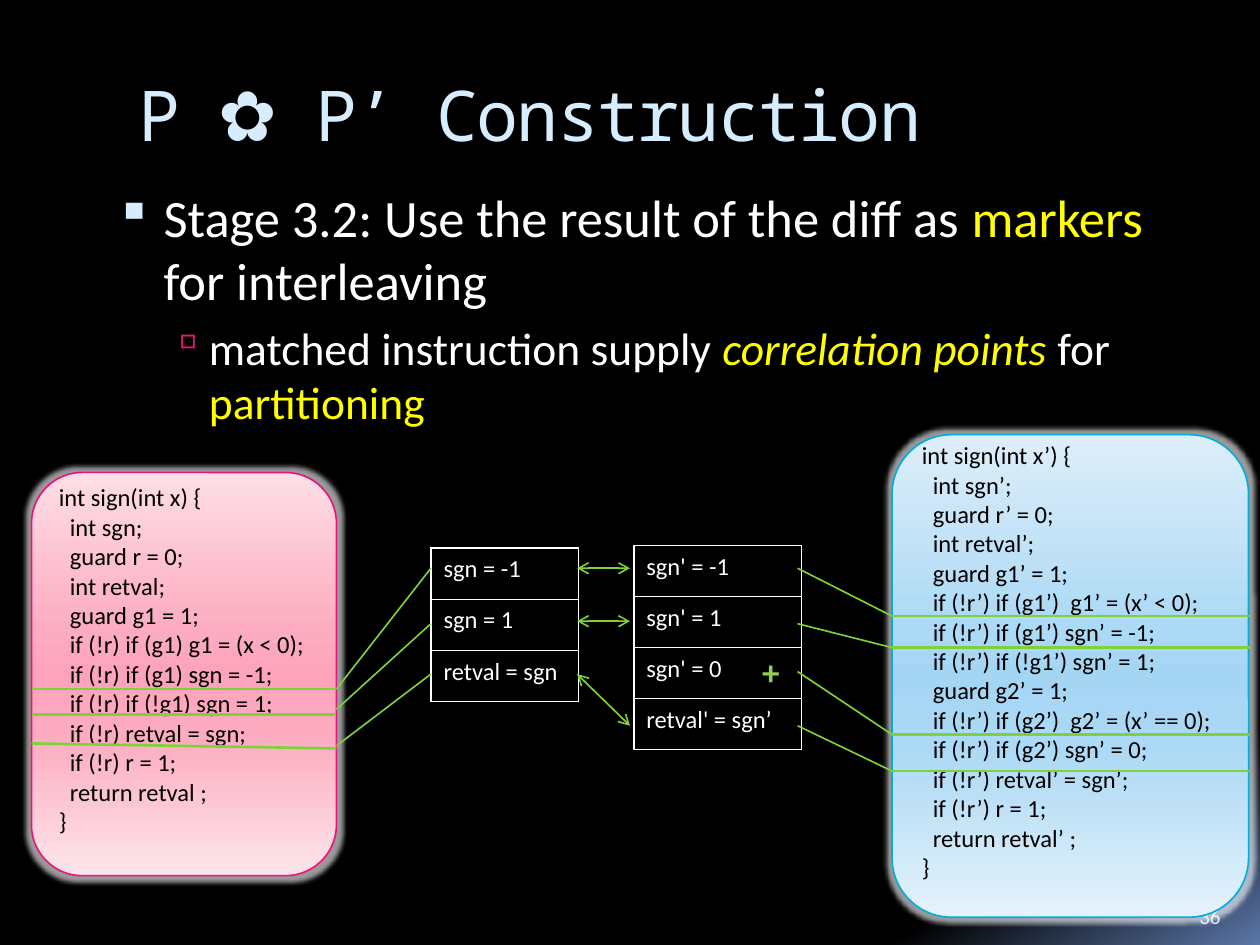
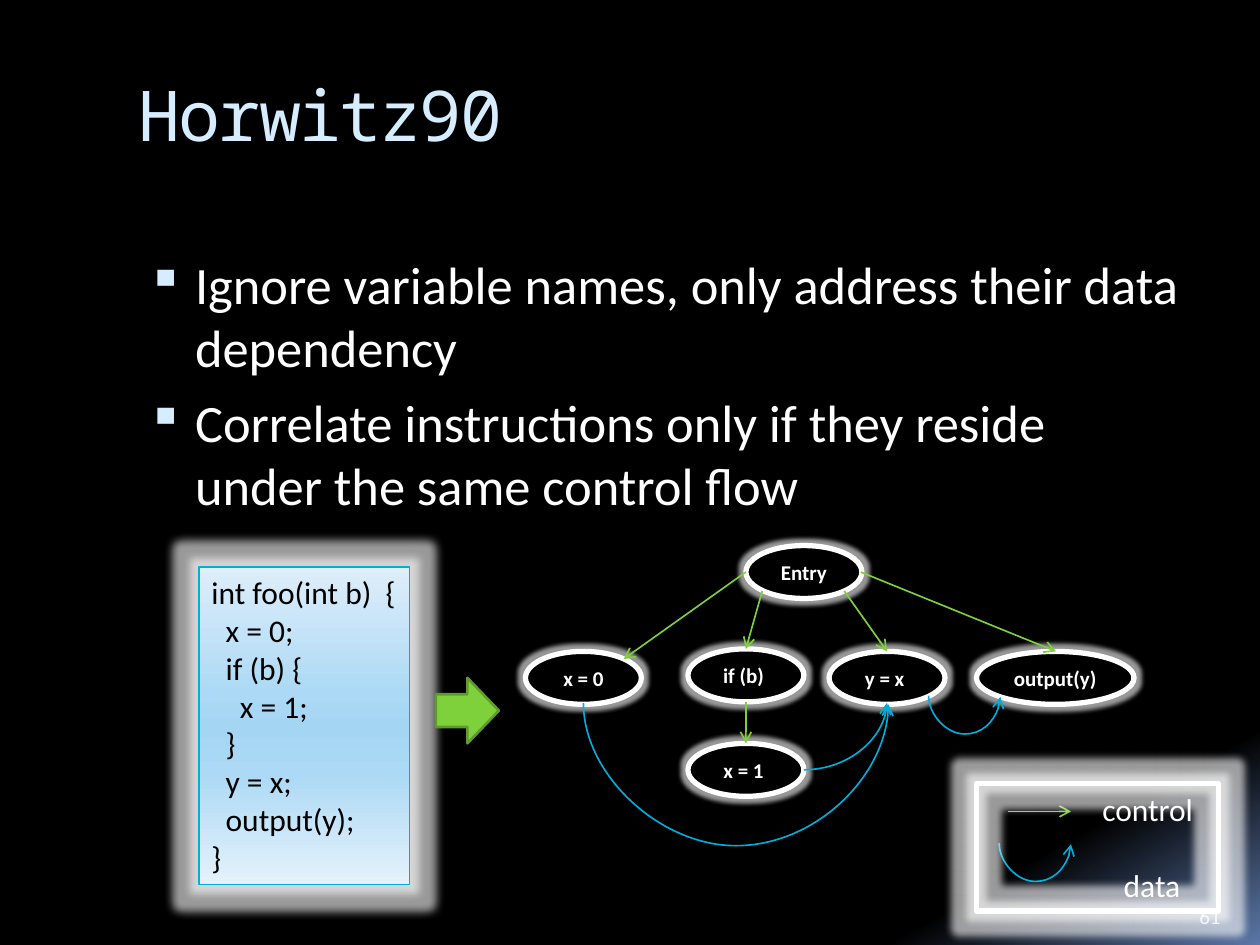
"""Build two slides on program correlation: marker interleaving and dependency graphs."""
from dataclasses import dataclass
from typing import Any, NamedTuple

from lxml import etree
from pptx import Presentation
from pptx.dml.color import RGBColor
from pptx.enum.shapes import MSO_CONNECTOR, MSO_SHAPE
from pptx.enum.text import MSO_ANCHOR, PP_ALIGN
from pptx.oxml.ns import qn
from pptx.util import Inches, Pt

STRAIGHT, CURVE = MSO_CONNECTOR.STRAIGHT, MSO_CONNECTOR.CURVE
RECTANGLE, ROUNDED = MSO_SHAPE.RECTANGLE, MSO_SHAPE.ROUNDED_RECTANGLE
ELLIPSE, RIGHT_ARROW = MSO_SHAPE.OVAL, MSO_SHAPE.RIGHT_ARROW
TOP, MIDDLE, BOTTOM = MSO_ANCHOR.TOP, MSO_ANCHOR.MIDDLE, MSO_ANCHOR.BOTTOM
LEFT, CENTER = PP_ALIGN.LEFT, PP_ALIGN.CENTER

BLACK = RGBColor(0x00, 0x00, 0x00)
WHITE = RGBColor(0xFF, 0xFF, 0xFF)
ICE = RGBColor(0xD6, 0xEC, 0xFF)
YELLOW = RGBColor(0xFF, 0xFF, 0x00)
PINK = RGBColor(0xEA, 0x15, 0x7A)
BLUE = RGBColor(0x00, 0xAD, 0xDC)
GREEN = RGBColor(0x7F, 0xD1, 0x3B)
DARK_GREEN = RGBColor(0x5E, 0x9B, 0x2C)
PLUS_GREEN = RGBColor(0x92, 0xD0, 0x50)
NIGHT = ((65, "000000"), (87, "000000"), (100, "5B77A8"))
PINK_TINT = ((0, "FDDEE5"), (40, "FDABC0"), (50, "FDA3BB"), (65, "FDABC0"), (100, "FDE5EB"))
BLUE_TINT = ((0, "DEEEFA"), (40, "ACD9F5"), (50, "A4D6F4"), (65, "ACD9F5"), (100, "E5F2FB"))

SANS, MONO = "Calibri", "Noto Sans Mono"
SPACE_WIDTH = 0.226
THIN, MEDIUM, THICK = 0.94, 1.5, 3

OLD_CODE = """int sign(int x) {
  int sgn;
  guard r = 0;
  int retval;
  guard g1 = 1;
  if (!r) if (g1) g1 = (x < 0);
  if (!r) if (g1) sgn = -1;
  if (!r) if (!g1) sgn = 1;
  if (!r) retval = sgn;
  if (!r) r = 1;
  return retval ;
}"""
NEW_CODE = """int sign(int x’) {
  int sgn’;
  guard r’ = 0;
  int retval’;
  guard g1’ = 1;
  if (!r’) if (g1’)  g1’ = (x’ < 0);
  if (!r’) if (g1’) sgn’ = -1;
  if (!r’) if (!g1’) sgn’ = 1;
  guard g2’ = 1;
  if (!r’) if (g2’)  g2’ = (x’ == 0);
  if (!r’) if (g2’) sgn’ = 0;
  if (!r’) retval’ = sgn’;
  if (!r’) r = 1;
  return retval’ ;
}"""
FOO_CODE = """int foo(int b)  {
  x = 0;
  if (b) {
    x = 1;
  }
  y = x;
  output(y);
}"""


class Area(NamedTuple):
    """Left, top, width and height in inches."""
    left: float
    top: float
    width: float
    height: float


class Span(NamedTuple):
    """A stretch of text in one format."""
    text: str
    color: RGBColor = WHITE
    italic: bool = False


class Level(NamedTuple):
    """The format of one bullet level."""
    size: int
    margin: float
    hanging: float
    before: int
    mark: str
    mark_color: RGBColor
    mark_size: int


class Loop(NamedTuple):
    """A data arc that hangs below two points at one height."""
    start: float
    end: float
    top: float
    depth: float


@dataclass
class CodeBox:
    """A tinted, glowing box of code."""
    area: Area
    code: str
    outline: RGBColor
    tint: tuple
    preset: Any
    size: int
    anchor: Any
    glow: float
    bottom: float = 0.05


LEVELS = (Level(30, 0.45, -0.38, 7, "▪", ICE, 95), Level(26, 0.81, -0.31, 5, "▫", PINK, 90))


def add_node(parent: Any, tag: str, **values: Any) -> Any:
    """Append a drawing element with the given attributes."""
    node = etree.SubElement(parent, qn(tag))
    for name, value in values.items():
        node.set(name, str(value))
    return node


def set_gradient(fill: Any, element: Any, stops: tuple, angle: int) -> None:
    """Fill with a clockwise linear gradient."""
    fill.gradient()
    fill.gradient_angle = 360 - angle
    stop_list = element.find(".//" + qn("a:gsLst"))
    for stop in list(stop_list):
        stop_list.remove(stop)
    for position, color in stops:
        add_node(add_node(stop_list, "a:gs", pos=position * 1000), "a:srgbClr", val=color)


def add_span(para: Any, text: str, color: RGBColor, **formats: Any) -> Any:
    """Add a run with font formats."""
    span = para.add_run()
    span.text = text
    span.font.color.rgb = color
    for name, value in {"name": SANS, **formats}.items():
        setattr(span.font, name, value)
    return span


def next_para(frame: Any, index: int) -> Any:
    """Return the first paragraph or a new one."""
    return frame.add_paragraph() if index else frame.paragraphs[0]


def set_indent(para: Any, margin: float, hanging: float = 0) -> Any:
    """Set the left margin and first-line indent of a paragraph."""
    properties = para._p.get_or_add_pPr()
    properties.set("marL", str(Inches(margin)))
    properties.set("indent", str(Inches(hanging)))
    return properties


def add_text(page: Any, area: Area, anchor: Any = TOP) -> Any:
    """Add a wrapping text box and return its frame."""
    frame = page.shapes.add_textbox(*map(Inches, area)).text_frame
    frame.word_wrap = True
    frame.vertical_anchor = anchor
    return frame


def add_box(page: Any, preset: Any, area: Area, outline: RGBColor, weight: float,
            fill: RGBColor | None = None, glow: float = 0) -> Any:
    """Add a preset shape with an outline and optional fill and glow."""
    box = page.shapes.add_shape(preset, *map(Inches, area))
    box.shadow.inherit = False
    box.line.color.rgb = outline
    box.line.width = Pt(weight)
    if fill is None:
        box.fill.background()
    else:
        box.fill.solid()
        box.fill.fore_color.rgb = fill
    if glow:
        effects = box._element.spPr.find(qn("a:effectLst"))
        color = add_node(add_node(effects, "a:glow", rad=Inches(glow)), "a:srgbClr", val="FFFFFF")
        add_node(color, "a:alpha", val=60000)
    return box


def add_code(page: Any, item: CodeBox) -> None:
    """Draw a code box, one paragraph a line, indented as written."""
    box = add_box(page, item.preset, item.area, item.outline, THIN, glow=item.glow)
    set_gradient(box.fill, box._element, item.tint, 90)
    frame = box.text_frame
    frame.word_wrap = True
    frame.vertical_anchor = item.anchor
    frame.margin_bottom = Inches(item.bottom)
    for index, line in enumerate(item.code.splitlines()):
        para = next_para(frame, index)
        para.alignment = LEFT
        text = line.lstrip()
        set_indent(para, (len(line) - len(text)) * item.size * SPACE_WIDTH / 72)
        add_span(para, text, BLACK, size=Pt(item.size))


def add_line(page: Any, start: tuple, end: tuple, color: RGBColor = GREEN, weight: float = THIN,
             heads: tuple = (), kind: Any = STRAIGHT) -> Any:
    """Add a connector with open arrowheads on the named ends."""
    line = page.shapes.add_connector(kind, *map(Inches, (*start, *end)))
    line.line.color.rgb = color
    line.line.width = Pt(weight)
    for head in heads:
        add_node(line.line._get_or_add_ln(), "a:" + head, type="arrow")
    add_node(line._element.spPr, "a:effectLst")
    return line


def add_loop(page: Any, loop: Loop) -> None:
    """Draw a hanging data arc as a turned curved connector."""
    rise = 0.01
    middle, center = (loop.start + loop.end) / 2, loop.top + rise / 2
    half = (loop.end - loop.start) / 2
    line = add_line(page, (middle - rise / 2, center - half), (middle + rise / 2, center + half),
                    BLUE, heads=("tailEnd",), kind=CURVE)
    properties = line._element.spPr
    frame = properties.find(qn("a:xfrm"))
    frame.set("rot", str(270 * 60000))
    frame.set("flipH", "1")
    guides = properties.find(qn("a:prstGeom")).get_or_add_avLst()
    add_node(guides, "a:gd", name="adj1", fmla=f"val {round(loop.depth / rise * 100000)}")


def add_values(page: Any, area: Area, values: tuple) -> None:
    """Add a one-column table with white borders and no fill."""
    table = page.shapes.add_table(len(values), 1, *map(Inches, area)).table
    table.first_row = table.horz_banding = False
    for index, value in enumerate(values):
        cell = table.cell(index, 0)
        cell.fill.background()
        add_span(cell.text_frame.paragraphs[0], value, WHITE, size=Pt(14), bold=False)
        properties = cell._tc.get_or_add_tcPr()
        for place, side in enumerate(("a:lnL", "a:lnR", "a:lnT", "a:lnB")):
            border = add_node(properties, side, w=Pt(1))
            add_node(add_node(border, "a:solidFill"), "a:srgbClr", val=WHITE)
            properties.insert(place, border)


def add_page(deck: Any, title: str, number: str, body: Area, bullets: tuple) -> Any:
    """Add a page with its background, title, bullets and number."""
    page = deck.slides.add_slide(deck.slide_layouts[6])
    set_gradient(page.background.fill, page.element, NIGHT, 60)
    frame = add_text(page, Area(1, 0.56, 8.5, 1))
    frame.margin_top = Inches(0.01)
    span = add_span(frame.paragraphs[0], title, ICE, name=MONO, size=Pt(40))
    span._r.get_or_add_rPr().set("spc", "-100")
    frame = add_text(page, body)
    for index, (depth, spans) in enumerate(bullets):
        level = LEVELS[depth]
        para = next_para(frame, index)
        para.level = depth
        para.space_before = Pt(level.before)
        properties = set_indent(para, level.margin, level.hanging)
        add_node(add_node(properties, "a:buClr"), "a:srgbClr", val=level.mark_color)
        add_node(properties, "a:buSzPct", val=level.mark_size * 1000)
        add_node(properties, "a:buChar", char=level.mark)
        for span in spans:
            add_span(para, span.text, span.color, size=Pt(level.size), italic=span.italic)
    frame = add_text(page, Area(9.42, 7.02, 0.5, 0.4), BOTTOM)
    add_span(frame.paragraphs[0], number, ICE, size=Pt(12))
    return page


def build_construction(deck: Any) -> None:
    """Build the page on interleaving by diff markers."""
    page = add_page(deck, "P ✿ P’ Construction", "36", Area(0.75, 1.42, 8.5, 5), (
        (0, (Span("Stage 3.2: Use the result of the diff as "), Span("markers", YELLOW),
             Span(" for interleaving"))),
        (1, (Span("matched instruction supply "), Span("correlation points ", YELLOW, True),
             Span("for "), Span("partitioning", YELLOW)))))
    add_code(page, CodeBox(Area(0.25, 3.75, 2.42, 3.2), OLD_CODE, PINK, PINK_TINT,
                           ROUNDED, 14, MIDDLE, 0.07, 0.29))
    add_code(page, CodeBox(Area(7.08, 3.45, 2.83, 3.83), NEW_CODE, BLUE, BLUE_TINT,
                           ROUNDED, 14, MIDDLE, 0.07, 0.29))
    add_values(page, Area(3.42, 4.35, 1.17, 1.22), ("sgn = -1", "sgn = 1", "retval = sgn"))
    add_values(page, Area(5.03, 4.33, 1.33, 1.62),
               ("sgn' = -1", "sgn' = 1", "sgn' = 0", "retval' = sgn’"))
    for old, new in ((4.51, 4.51), (4.93, 4.93), (5.35, 5.76)):
        add_line(page, (4.58, old), (5, new), heads=("headEnd", "tailEnd"))
    frame = add_text(page, Area(5.95, 5.11, 0.31, 0.44))
    add_span(frame.paragraphs[0], "+", PLUS_GREEN, size=Pt(20), bold=True)
    for value, link, left, right in ((4.51, 5.47, 5.47, 5.47), (4.95, 5.63, 5.67, 5.67),
                                     (5.35, 5.92, 5.9, 5.94)):
        add_line(page, (3.42, value), (2.67, link))
        add_line(page, (0.25, left), (2.67, right), weight=MEDIUM)
    for value, mark in ((4.51, 4.89), (4.95, 5.14), (5.33, 5.83), (5.76, 6.12)):
        add_line(page, (6.33, value), (7.08, mark))
        add_line(page, (7.08, mark), (9.92, mark), weight=MEDIUM)


def build_dependency(deck: Any) -> None:
    """Build the page on the dependency graph."""
    page = add_page(deck, "Horwitz90", "61", Area(1, 1.95, 8.5, 5), (
        (0, (Span("Ignore variable names, only address their data dependency"),)),
        (0, (Span("Correlate instructions only if they reside under the same control flow"),))))
    add_code(page, CodeBox(Area(1.58, 4.5, 1.67, 2.52), FOO_CODE, BLUE, BLUE_TINT,
                           RECTANGLE, 18, TOP, 0.14))
    for label, left, top, width in (
            ("x = 1 ", 5.46, 5.9, 0.92), ("Entry", 5.92, 4.33, 0.92), ("x = 0", 4.17, 5.17, 0.92),
            ("if (b) ", 5.46, 5.15, 0.92), ("y = x ", 6.58, 5.17, 0.92),
            ("output(y) ", 7.75, 5.17, 1.25)):
        node = add_box(page, ELLIPSE, Area(left, top, width, 0.42), WHITE, THICK, BLACK, 0.07)
        para = node.text_frame.paragraphs[0]
        para.alignment = CENTER
        add_span(para, label, WHITE, size=Pt(12), bold=True)
    for start, end in (((5.92, 4.54), (4.95, 5.23)), ((6.05, 4.69), (5.92, 5.15)),
                       ((6.7, 4.69), (7.04, 5.17)), ((6.83, 4.54), (8.38, 5.17)),
                       ((5.92, 5.57), (5.92, 5.9)), ((8, 6.44), (8.5, 6.44))):
        add_line(page, start, end, heads=("tailEnd",))
    for loop in (Loop(4.63, 7.05, 5.58, 1.15), Loop(7.37, 7.94, 5.52, 0.31),
                 Loop(7.93, 8.5, 6.69, 0.31)):
        add_loop(page, loop)
    bend = add_line(page, (6.38, 6.11), (7.04, 5.58), BLUE, heads=("tailEnd",), kind=CURVE)
    bend._element.spPr.find(qn("a:prstGeom")).set("prst", "curvedConnector2")
    add_box(page, RIGHT_ARROW, Area(3.46, 5.38, 0.5, 0.52), DARK_GREEN, MEDIUM, GREEN)
    legend = add_box(page, RECTANGLE, Area(7.75, 6.22, 1.92, 1.01), WHITE, THICK, glow=0.12)
    legend.text_frame.vertical_anchor = TOP
    for index, (label, margin) in enumerate((("control", 0.9), ("data", 1.07))):
        para = next_para(legend.text_frame, index)
        para.alignment = LEFT
        para.space_before = Pt(22 * index)
        set_indent(para, margin)
        add_span(para, label, WHITE, size=Pt(18))


def main() -> None:
    """Build and save the deck."""
    deck = Presentation()
    deck.slide_width, deck.slide_height = Inches(10), Inches(7.5)
    build_construction(deck)
    build_dependency(deck)
    deck.save("out.pptx")


if __name__ == "__main__":
    main()
